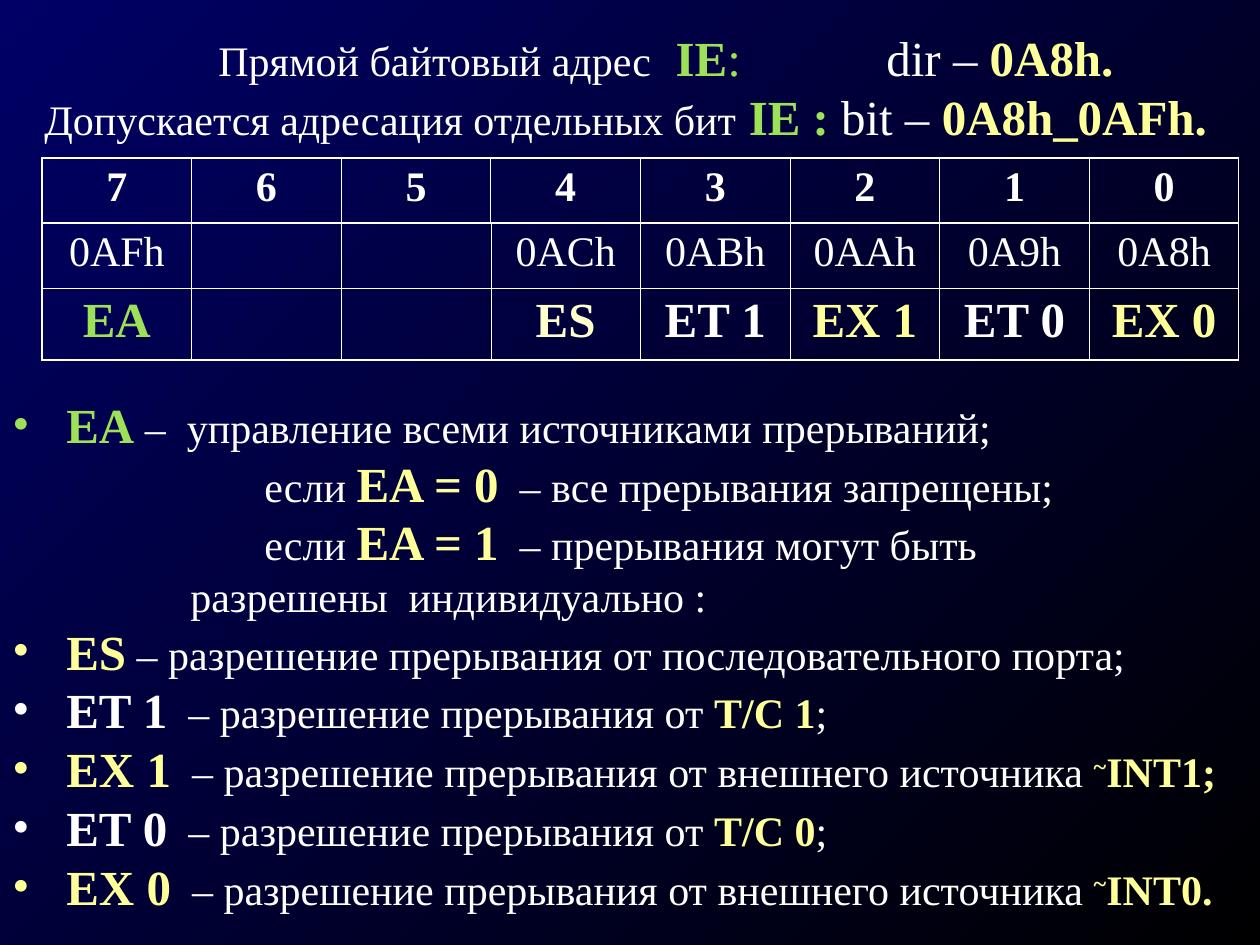
"""Build the slide on the IE interrupt enable register and its bits."""
from dataclasses import dataclass
from typing import Optional

from lxml import etree
from pptx import Presentation
from pptx import util as u
from pptx.dml.color import RGBColor
from pptx.enum import text as t
from pptx.oxml.ns import qn


@dataclass(frozen=True)
class Theme:
    font: str = "Times New Roman"
    white: str = "FFFFFF"
    green: str = "9CE157"
    yellow: str = "FFFF99"
    cream: str = "FFFFCC"
    navy: str = "000066"
    black: str = "000000"
    body: int = 24
    big: int = 28
    thick: float = 0.75
    thin: float = 0.45


@dataclass(frozen=True)
class Run:
    txt: str
    size: int = Theme.body
    color: str = Theme.white
    bold: bool = False
    base: int = 0


@dataclass(frozen=True)
class Line:
    runs: tuple
    left: int = 0
    first: int = 0
    dot: str = ""
    tab: int = 0


@dataclass(frozen=True)
class Bit:
    num: str
    addr: str = ""
    name: str = ""
    color: str = Theme.white


TH = Theme()
BITS = (
    Bit("7", "0AFh", "EA", TH.green),
    Bit("6"),
    Bit("5"),
    Bit("4", "0ACh", "ES", TH.cream),
    Bit("3", "0ABh", "ET 1"),
    Bit("2", "0AAh", "EX 1", TH.yellow),
    Bit("1", "0A9h", "ET 0"),
    Bit("0", "0A8h", "EX 0", TH.yellow),
)
ROWS = (65, 65, 72)
WIDE = 1197


def px(num: float) -> int:
    return round(num * 914400 / 126)


def put(para, txt: str, *, size: int = TH.body, color: str = TH.white,
        bold: bool = False, base: int = 0) -> None:
    for i, part in enumerate(txt.split("\n")):
        if i:
            para.add_line_break()
        run = para.add_run()
        run.text = part
        font = run.font
        font.name, font.size, font.bold = TH.font, u.Pt(size), bold
        font.color.rgb = RGBColor.from_string(color)
        if base:
            run._r.get_or_add_rPr().set("baseline", str(base * 1000))


def style(para, line: Line) -> None:
    props = para._p.get_or_add_pPr()
    props.set("marL", str(px(line.left)))
    props.set("indent", str(px(line.first)))
    if line.tab:
        props.set("defTabSz", str(px(line.tab)))
    if line.dot:
        tint = etree.SubElement(props, qn("a:buClr"))
        etree.SubElement(tint, qn("a:srgbClr"), val=line.dot)
        etree.SubElement(props, qn("a:buFont"), typeface=TH.font)
        etree.SubElement(props, qn("a:buChar"), char="•")


def box(slide, area: tuple, lines: list) -> None:
    frame = slide.shapes.add_textbox(*map(px, area)).text_frame
    frame.word_wrap = True
    for i, line in enumerate(lines):
        para = frame.add_paragraph() if i else frame.paragraphs[0]
        style(para, line)
        for run in line.runs:
            put(para, run.txt, size=run.size, color=run.color,
                bold=run.bold, base=run.base)


def edge(cell, side: str, width: float) -> None:
    props = cell._tc.get_or_add_tcPr()
    line = etree.SubElement(props, qn(f"a:ln{side}"), w=str(u.Pt(width)))
    fill = etree.SubElement(line, qn("a:solidFill"))
    etree.SubElement(fill, qn("a:srgbClr"), val=TH.white)


def fill(cell, row: int, col: int, run: Optional[Run]) -> None:
    bold = {"L": row == 0 or col == 0,
            "R": row == 0 or col == len(BITS) - 1,
            "T": row < 2,
            "B": row != 1}
    for side, thick in bold.items():
        edge(cell, side, TH.thick if thick else TH.thin)
    cell.fill.background()
    para = cell.text_frame.paragraphs[0]
    para.alignment = t.PP_ALIGN.CENTER
    if run:
        put(para, run.txt, size=run.size, color=run.color, bold=run.bold)


def grid(slide, left: int, top: int) -> None:
    area = (left, top, WIDE, sum(ROWS))
    table = slide.shapes.add_table(len(ROWS), len(BITS), *map(px, area)).table
    table.first_row = table.horz_banding = False
    for row, high in zip(table.rows, ROWS):
        row.height = px(high)
    for col, bit in enumerate(BITS):
        table.columns[col].width = px(WIDE / len(BITS))
        runs = (Run(bit.num, bold=True), Run(bit.addr),
                Run(bit.name, TH.big, bit.color, True))
        for row, run in enumerate(runs):
            fill(table.cell(row, col), row, col, run if run.txt else None)


def key(txt: str, color: str) -> Run:
    return Run(txt, TH.big, color, True)


def item(name: str, color: str, *rest: Run) -> Line:
    return Line((key(name, color), *rest), 54, -54, color)


def case(val: int, txt: str) -> Line:
    return Line((Run("если "), key(f"EA = {val}", TH.yellow), Run(txt)), 178, 74)


def title() -> list:
    return [
        Line((Run("Прямой байтовый адрес"), Run("  ", TH.big),
              key("IE", TH.green), Run(":\t", TH.big, TH.green),
              Run("dir – ", TH.big), key("0A8h.", TH.yellow)), 174, tab=167),
        Line((Run("Допускается адресация отдельных бит"), Run(" ", TH.big),
              key("IE : ", TH.green), Run("bit – ", TH.big),
              key("0A8h_0AFh.", TH.yellow))),
    ]


def notes() -> list:
    lines = [
        item("EA", TH.green, Run(" –  управление всеми источниками прерываний;")),
        case(0, "  – все прерывания запрещены;"),
        case(1, "  – прерывания могут быть\nразрешены  индивидуально :"),
        item("ES", TH.yellow,
             Run(" – разрешение прерывания от последовательного порта;")),
    ]
    why = "  – разрешение прерывания от "
    for num, end in ((1, ";"), (0, ".")):
        lines.append(item(f"ET {num}", TH.white, Run(why),
                          Run(f"T/C {num}", color=TH.yellow, bold=True), Run(";")))
        lines.append(item(f"EX {num}", TH.yellow,
                          Run(why + "внешнего источника "),
                          Run("~", color=TH.yellow, bold=True, base=30),
                          Run(f"INT{num}{end}", color=TH.yellow, bold=True)))
    return lines


def main() -> None:
    deck = Presentation()
    deck.slide_width, deck.slide_height = px(1260), px(945)
    slide = deck.slides.add_slide(deck.slide_layouts[6])
    back = slide.background.fill
    back.gradient()
    back.gradient_angle = 315
    for stop, color in zip(back.gradient_stops, (TH.navy, TH.black)):
        stop.color.rgb = RGBColor.from_string(color)
    box(slide, (32, 21, 1197, 924), title())
    grid(slide, 42, 158)
    box(slide, (0, 388, 1260, 534), notes())
    deck.save("out.pptx")


if __name__ == "__main__":
    main()
